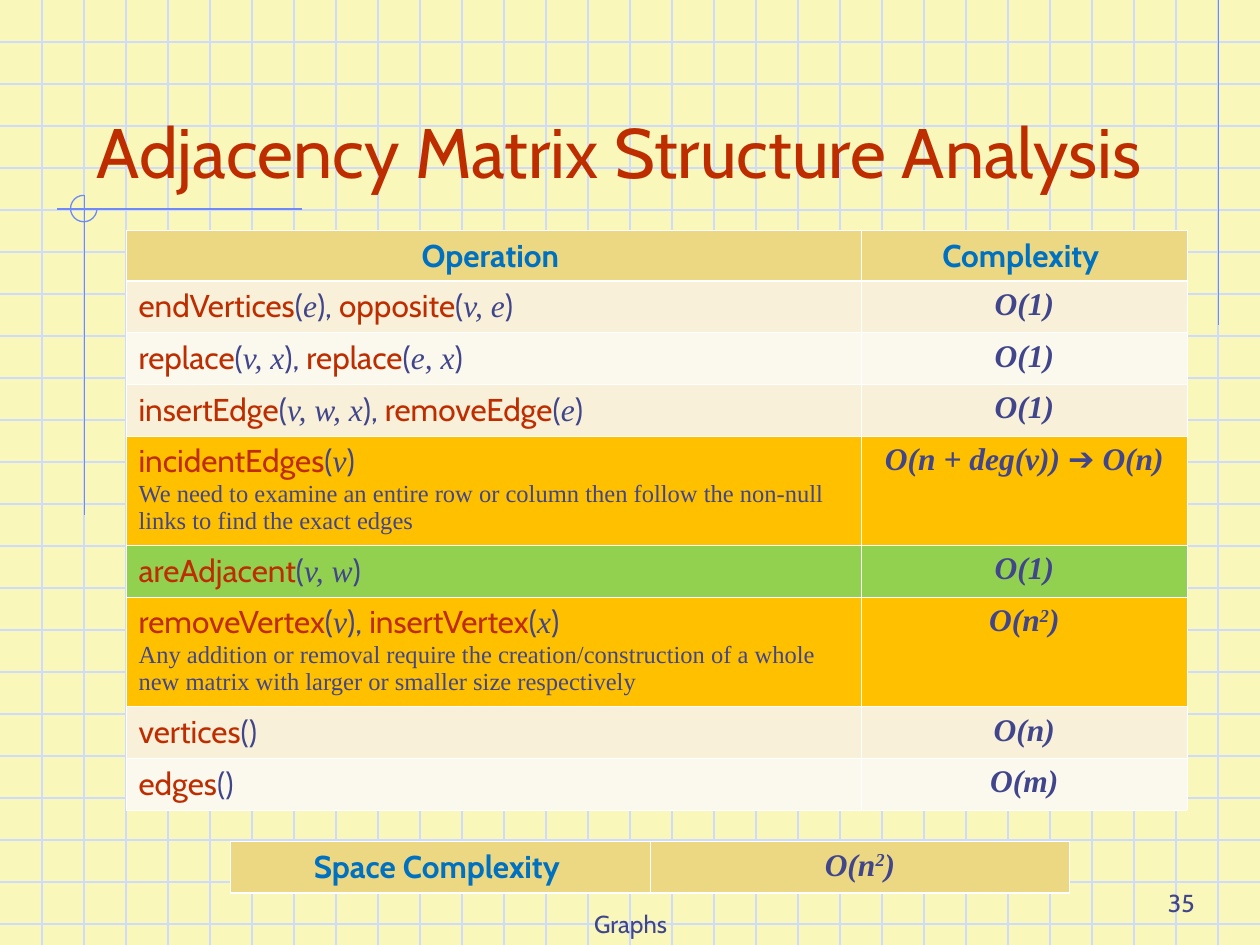
from dataclasses import dataclass
from itertools import groupby

from lxml.etree import SubElement as Sub
from pptx import Presentation
from pptx.dml.color import RGBColor as RGB
from pptx.enum.shapes import MSO_CONNECTOR as Link, MSO_SHAPE as Shape
from pptx.enum.text import MSO_ANCHOR as Anchor, PP_ALIGN as Align
from pptx.oxml.ns import qn
from pptx.util import Inches, Pt


@dataclass(frozen=True)
class Theme:
    paper: str = "F9F8BA"
    grid: str = "CFDBFD"
    rule: str = "6F89F7"
    red: str = "BE2D00"
    ink: str = "40458C"
    blue: str = "0070C0"
    head: str = "ECD882"
    tan: str = "F8F0D8"
    cream: str = "FBF8ED"
    amber: str = "FFC000"
    green: str = "92D050"
    edge: str = "FFFFFF"
    sans: str = "Cabin"
    serif: str = "Times New Roman"
    arrow: str = "Arial"
    title: int = 40
    body: int = 18
    small: int = 14
    hair: float = 0.75
    thin: float = 0.45
    thick: float = 1.47


class Deck:
    def __init__(self, theme):
        self.theme = theme
        self.show = Presentation()
        self.show.slide_width, self.show.slide_height = Inches(10), Inches(7.5)
        self.slide = self.show.slides.add_slide(self.show.slide_layouts[6])
        fill = self.slide.background.fill
        fill.solid()
        fill.fore_color.rgb = RGB.from_string(theme.paper)

    def line(self, x1, y1, x2, y2, color):
        line = self.slide.shapes.add_connector(
            Link.STRAIGHT, Inches(x1), Inches(y1), Inches(x2), Inches(y2))
        line.line.color.rgb = RGB.from_string(color)
        line.line.width = Pt(self.theme.hair)
        Sub(line._element.spPr, qn("a:effectLst"))

    def arc(self, x, y, size):
        """Draw three quarters of a circle, open at the upper right."""
        arc = self.slide.shapes.add_shape(
            Shape.ARC, Inches(x), Inches(y), Inches(size), Inches(size))
        arc.adjustments[0], arc.adjustments[1] = 0, 162
        arc.shadow.inherit = False
        arc.fill.background()
        arc.line.color.rgb = RGB.from_string(self.theme.rule)
        arc.line.width = Pt(self.theme.hair)

    def run(self, para, text, color, size=None, face=None, bold=False, slant=False):
        run = para.add_run()
        run.text = text
        font = run.font
        font.name = face or self.theme.sans
        font.size = Pt(size or self.theme.body)
        font.bold, font.italic = bold, slant
        font.color.rgb = RGB.from_string(color)
        return run

    def text(self, x, y, wide, high, words, color, size, align):
        frame = self.slide.shapes.add_textbox(
            Inches(x), Inches(y), Inches(wide), Inches(high)).text_frame
        frame.word_wrap = True
        frame.vertical_anchor = Anchor.BOTTOM
        para = frame.paragraphs[0]
        para.alignment = align
        self.run(para, words, color, size)

    def table(self, x, y, cols, rows):
        """Add an empty table with the given column widths and row heights."""
        table = self.slide.shapes.add_table(
            len(rows), len(cols), Inches(x), Inches(y),
            Inches(sum(cols)), Inches(sum(rows))).table
        table.first_row = table.horz_banding = False
        for col, wide in zip(table.columns, cols):
            col.width = Inches(wide)
        for row, high in zip(table.rows, rows):
            row.height = Inches(high)
        return table

    def paint(self, row, color, top, base):
        """Give each cell of a row its borders and fill."""
        thin = self.theme.thin
        for cell in row.cells:
            props = cell._tc.get_or_add_tcPr()
            for side, width in zip("LRTB", (thin, thin, top, base)):
                line = Sub(props, qn(f"a:ln{side}"), w=str(Pt(width)))
                fill = Sub(line, qn("a:solidFill"))
                Sub(fill, qn("a:srgbClr"), val=self.theme.edge)
            cell.fill.solid()
            cell.fill.fore_color.rgb = RGB.from_string(color)

    def label(self, cell, words):
        para = cell.text_frame.paragraphs[0]
        para.alignment = Align.CENTER
        self.run(para, words, self.theme.blue, bold=True)

    def calls(self, cell, calls, note):
        theme, frame = self.theme, cell.text_frame
        para = frame.paragraphs[0]
        for i, (name, args) in enumerate(calls):
            self.run(para, name, theme.red)
            self.run(para, "(", theme.ink)
            if args:
                self.run(para, args, theme.ink, face=theme.serif, slant=True)
            self.run(para, "), " if i < len(calls) - 1 else ")", theme.ink)
        if note:
            self.run(frame.add_paragraph(), note, theme.ink, theme.small, theme.serif)

    def cost(self, cell, words):
        """Write a bound, raising each 2 to a power."""
        theme = self.theme
        para = cell.text_frame.paragraphs[0]
        para.alignment = Align.CENTER
        for mark, part in groupby(words, lambda c: c if c in "2➔" else ""):
            face = theme.arrow if mark == "➔" else theme.serif
            run = self.run(para, "".join(part), theme.ink, face=face,
                           bold=True, slant=True)
            if mark == "2":
                run.font._element.set("baseline", "30000")


def main():
    theme = Theme()
    deck = Deck(theme)
    for i in range(1, 23):
        deck.line(0, i / 3, 10, i / 3, theme.grid)
    for i in range(1, 30):
        deck.line(i / 3, 0, i / 3, 7.5, theme.grid)
    for ends in ((9.67, 0, 9.67, 2.58), (2.4, 1.66, 0.45, 1.66), (0.67, 1.55, 0.67, 4.09)):
        deck.line(*ends, theme.rule)
    deck.arc(0.56, 1.55, 0.21)

    deck.text(3.42, 7, 3.17, 0.5, "Graphs", theme.ink, theme.small, Align.CENTER)
    deck.text(7.5, 6.83, 2.08, 0.5, "35", theme.ink, theme.small, Align.RIGHT)
    deck.text(0.67, 0.33, 9.08, 1.25, "Adjacency Matrix Structure Analysis",
              theme.red, theme.title, Align.LEFT)

    rows = [
        ([("endVertices", "e"), ("opposite", "v, e")], "", "O(1)", theme.tan),
        ([("replace", "v, x"), ("replace", "e, x")], "", "O(1)", theme.cream),
        ([("insertEdge", "v, w, x"), ("removeEdge", "e")], "", "O(1)", theme.tan),
        ([("incidentEdges", "v")],
         "We need to examine an entire row or column then follow the non-null "
         "links to find the exact edges", "O(n + deg(v)) ➔ O(n)", theme.amber),
        ([("areAdjacent", "v, w")], "", "O(1)", theme.green),
        ([("removeVertex", "v"), ("insertVertex", "x")],
         "Any addition or removal require the creation/construction of a whole "
         "new matrix with larger or smaller size respectively", "O(n2)", theme.amber),
        ([("vertices", "")], "", "O(n)", theme.tan),
        ([("edges", "")], "", "O(m)", theme.cream),
    ]
    highs = [0.4] + [0.87 if note else 0.41 for _, note, _, _ in rows]
    table = deck.table(1, 1.83, [5.84, 2.58], highs)
    deck.paint(table.rows[0], theme.head, theme.thin, theme.thick)
    for i, words in enumerate(("Operation ", "Complexity ")):
        deck.label(table.cell(0, i), words)
    for i, (calls, note, cost, color) in enumerate(rows, 1):
        deck.paint(table.rows[i], color, theme.thick if i == 1 else theme.thin, theme.thin)
        deck.calls(table.cell(i, 0), calls, note)
        deck.cost(table.cell(i, 1), cost)

    space = deck.table(1.83, 6.68, [3.33, 3.33], [0.41])
    deck.paint(space.rows[0], theme.head, theme.thin, theme.thick)
    deck.label(space.cell(0, 0), "Space Complexity ")
    deck.cost(space.cell(0, 1), "O(n2)")
    deck.show.save("out.pptx")


if __name__ == "__main__":
    main()
